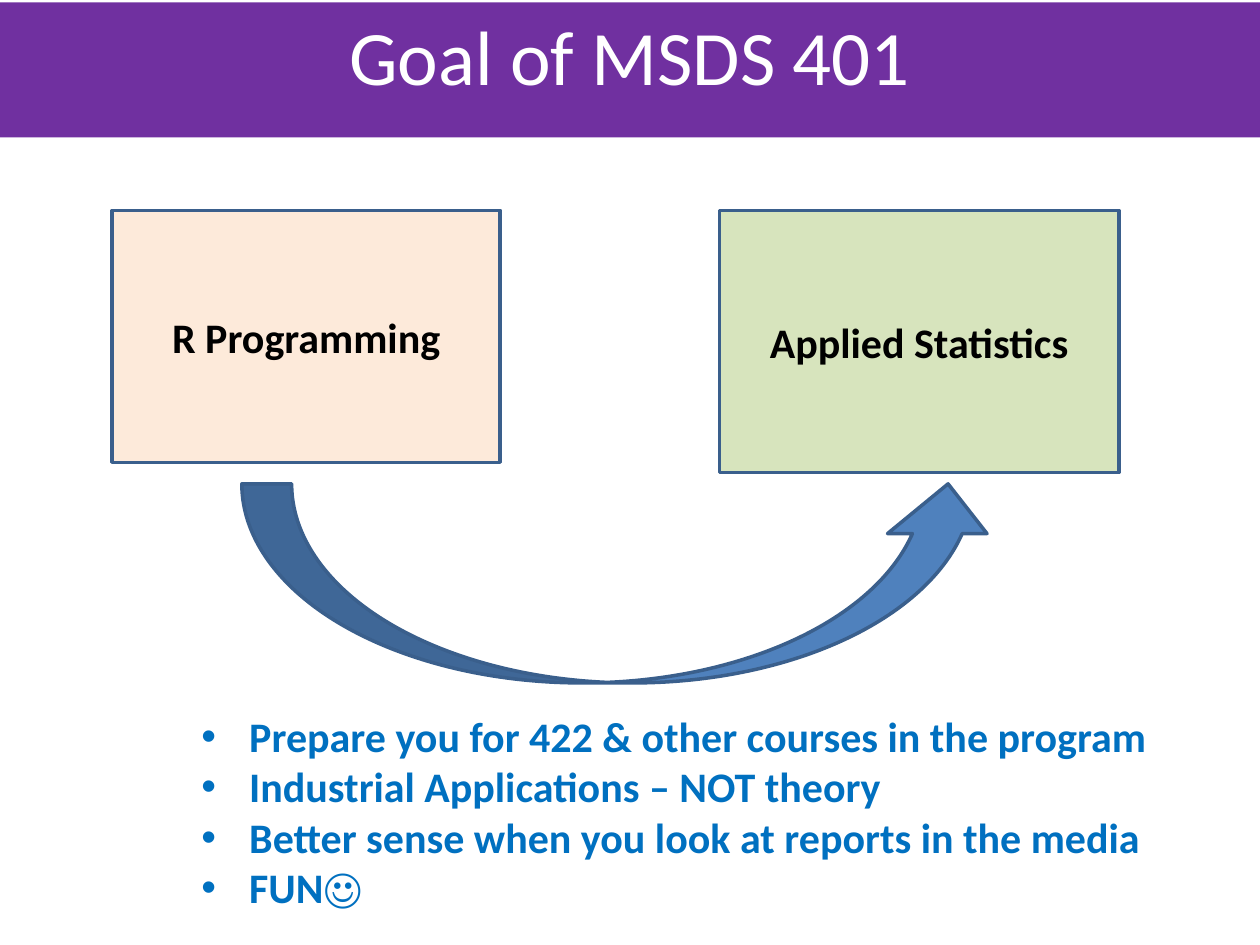
from pptx import Presentation, util as u
from pptx.dml import color
from pptx.enum import shapes as sh, text as tx
from lxml import etree


def rgb(code):
    return color.RGBColor.from_string(code)


class Deck:
    """Hold the style and the current slide, and draw each kind of element."""

    font = "Calibri"
    edge = "3A5F8C"

    def __init__(self, wide, high):
        self.prs = Presentation()
        self.prs.slide_width, self.prs.slide_height = u.Inches(wide), u.Inches(high)
        self.slide = self.prs.slides.add_slide(self.prs.slide_layouts[6])

    def label(self, frame, lines, size, ink, bold=True, align=tx.PP_ALIGN.CENTER):
        style = {"name": self.font, "size": u.Pt(size), "bold": bold}
        for i, line in enumerate(lines):
            para = frame.paragraphs[0] if i == 0 else frame.add_paragraph()
            para.alignment = align
            run = para.add_run()
            run.text = line
            for key, val in style.items():
                setattr(run.font, key, val)
            run.font.color.rgb = rgb(ink)

    def shape(self, kind, box, fill, edge=None):
        item = self.slide.shapes.add_shape(kind, *map(u.Inches, box))
        item.shadow.inherit = False
        item.fill.solid()
        item.fill.fore_color.rgb = rgb(fill)
        if edge:
            item.line.color.rgb = rgb(edge)
            item.line.width = u.Pt(2)
        else:
            item.line.fill.background()
        return item

    def panel(self, box, fill, words):
        frame = self.shape(sh.MSO_SHAPE.RECTANGLE, box, fill, self.edge).text_frame
        frame.vertical_anchor = tx.MSO_ANCHOR.MIDDLE
        self.label(frame, [words], 24, "000000")

    def title(self, box, fill, words):
        frame = self.shape(sh.MSO_SHAPE.RECTANGLE, box, fill).text_frame
        frame.vertical_anchor = tx.MSO_ANCHOR.TOP
        self.label(frame, [words], 44, "FFFFFF", False)

    def bullets(self, box, lines, ink):
        frame = self.slide.shapes.add_textbox(*map(u.Inches, box)).text_frame
        frame.word_wrap = False
        frame.auto_size = tx.MSO_AUTO_SIZE.SHAPE_TO_FIT_TEXT
        self.label(frame, lines, 24, ink, align=tx.PP_ALIGN.LEFT)
        indent = u.Inches(0.38)
        for para in frame.paragraphs:
            prop = para._p.get_or_add_pPr()
            prop.set("marL", str(indent))
            prop.set("indent", str(-indent))
            space = "{" + prop.nsmap["a"] + "}"
            etree.SubElement(prop, space + "buFont", typeface="Arial")
            etree.SubElement(prop, space + "buChar", char="•")


deck = Deck(10, 7.5)
deck.panel((0.89, 1.67, 3.08, 2), "FDEADA", "R Programming")
deck.panel((5.71, 1.67, 3.17, 2.08), "D7E4BD", "Applied Statistics")
deck.shape(sh.MSO_SHAPE.CURVED_UP_ARROW, (1.92, 3.84, 6, 1.58), "4F81BD", deck.edge)
goals = [
    "Prepare you for 422 & other courses in the program",
    "Industrial Applications – NOT theory",
    "Better sense when you look at reports in the media",
    "FUN☺",
]
deck.bullets((1.5, 5.59, 7.76, 1.72), goals, "0070C0")
deck.title((0, 0.02, 10, 1.07), "7030A0", "Goal of MSDS 401")
deck.prs.save("out.pptx")
